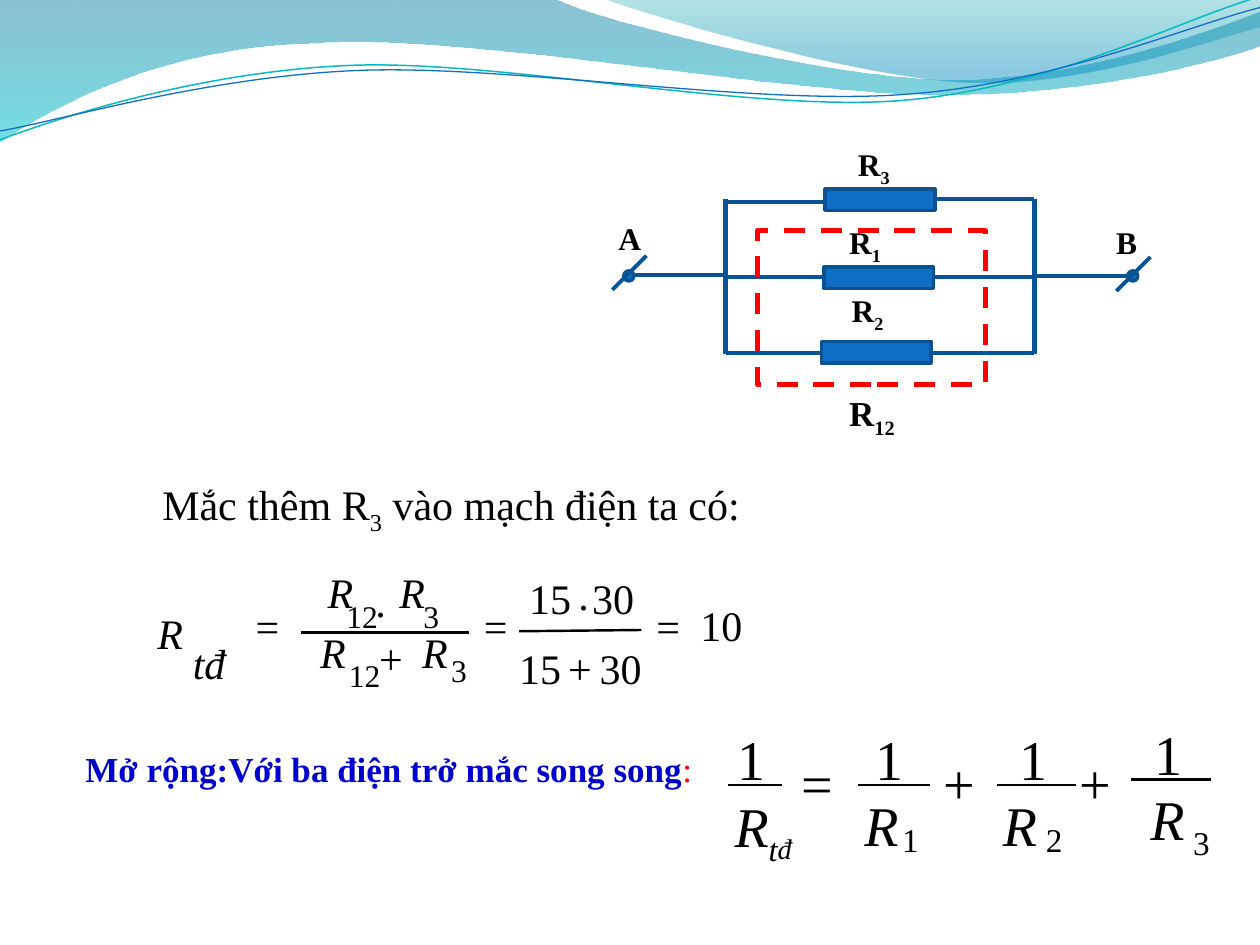
from dataclasses import dataclass

from lxml import etree
from pptx import Presentation
from pptx import util as u
from pptx.dml.color import RGBColor
from pptx.enum import dml, shapes, text
from pptx.oxml import ns


@dataclass(frozen=True)
class Theme:
    font: str = "Times New Roman"
    ink: str = "000000"
    wire: str = "095295"
    edge: str = "0B5292"
    body: str = "0F6FC6"
    teal: str = "0AB8BF"
    blue: str = "0000CC"
    red: str = "FF0000"
    formula: int = 24
    formula_sub: int = 18
    rule: int = 32
    rule_sub: int = 19
    label: int = 18
    note: int = 20


@dataclass(frozen=True)
class Box:
    left: float
    top: float
    width: float
    height: float

    def at(self, x, y):
        return u.Inches(self.left + x), u.Inches(self.top + y)


THEME = Theme()
EM = {"R": 0.61, "+": 0.56, "=": 0.56, ".": 0.25}


def rgb(value):
    return RGBColor.from_string(value)


def add_text(page, box, x, y, w, h, spans, size, wrap=True, inset=True, **common):
    """Spans are (words, format) pairs; the key sub lowers a span."""
    frame = page.shapes.add_textbox(*box.at(x, y), u.Inches(w), u.Inches(h)).text_frame
    frame.word_wrap = wrap
    frame.auto_size = text.MSO_AUTO_SIZE.SHAPE_TO_FIT_TEXT
    if not inset:
        for side in ("left", "top", "right", "bottom"):
            setattr(frame, f"margin_{side}", 0)
    para = frame.paragraphs[0]
    for words, extra in spans:
        span = para.add_run()
        span.text = words
        style = {"size": size, "name": THEME.font, "color": THEME.ink, **common, **extra}
        if style.pop("sub", False):
            span._r.get_or_add_rPr().set("baseline", "-25000")
        span.font.color.rgb = rgb(style.pop("color"))
        style["size"] = u.Pt(style["size"])
        for name, value in style.items():
            setattr(span.font, name, value)


def add_symbol(page, box, words, x, y, size, slack=1.0):
    width = sum(EM.get(sign, 0.5) for sign in words) * size / 72 * slack
    add_text(page, box, x, y, width, size / 60, [(words, {})], size,
             wrap=False, inset=False, italic=words in ("R", "tđ"))


def add_line(page, box, start, end, color, weight):
    line = page.shapes.add_connector(shapes.MSO_CONNECTOR.STRAIGHT,
                                     *box.at(*start), *box.at(*end))
    line.line.color.rgb = rgb(color)
    line.line.width = u.Pt(weight)
    etree.SubElement(line._element.spPr, ns.qn("a:effectLst"))


def add_part(page, box, kind, x, y, w, h, fill, edge, weight):
    part = page.shapes.add_shape(kind, *box.at(x, y), u.Inches(w), u.Inches(h))
    part.shadow.inherit = False
    if fill:
        part.fill.solid()
        part.fill.fore_color.rgb = rgb(fill)
    else:
        part.fill.background()
    part.line.color.rgb = rgb(edge)
    part.line.width = u.Pt(weight)
    return part


def add_outline(page, box, start, segments, close):
    """Segments are lines (two numbers) or cubic curves (six numbers)."""
    knots = [box.at(*segment[i:i + 2]) for segment in segments
             for i in range(0, len(segment), 2)]
    builder = page.shapes.build_freeform(*box.at(*start), scale=1.0)
    builder.add_line_segments(knots, close=close)
    outline = builder.convert_to_shape()
    outline.shadow.inherit = False
    steps = iter(list(outline._element.spPr.iter(ns.qn("a:lnTo"))))
    for segment in segments:
        parts = [next(steps) for _ in range(len(segment) // 2)]
        if len(parts) == 3:
            curve = etree.Element(ns.qn("a:cubicBezTo"))
            parts[0].addprevious(curve)
            for part in parts:
                curve.append(part[0])
                part.getparent().remove(part)
    return outline


def fade(shape, stops):
    """Top-to-bottom gradient from (position, colour, opacity) stops."""
    shape.fill.gradient()
    grad = shape._element.spPr.find(ns.qn("a:gradFill"))
    for child in list(grad):
        grad.remove(child)
    stop_list = etree.SubElement(grad, ns.qn("a:gsLst"))
    for position, color, opacity in stops:
        stop = etree.SubElement(stop_list, ns.qn("a:gs"), pos=str(position * 1000))
        tint = etree.SubElement(stop, ns.qn("a:srgbClr"), val=color)
        etree.SubElement(tint, ns.qn("a:alpha"), val=str(opacity * 1000))
    etree.SubElement(grad, ns.qn("a:lin"), ang="5400000", scaled="0")


def draw_waves(page, box):
    bands = [
        ((0, 0), [(4.4, -0.01), (4.76, 0.17, 6.64, 0.63, 7.58, 0.63),
                  (8.53, 0.63, 9.58, 0.26, 10, 0.09), (10.01, 0.36),
                  (9.83, 0.44, 8.7, 0.76, 7.46, 0.75), (6.22, 0.75, 3.82, 0.28, 2.57, 0.34),
                  (1.29, 0.36, 0.46, 0.83, -0.01, 1.13), (0, 0)],
         [(0, "0074A1", 45), (100, "00C6CF", 55)]),
        ((4.79, -0.01), [(5.09, 0.11, 6.82, 0.62, 7.69, 0.65),
                         (8.56, 0.69, 9.61, 0.32, 10, 0.21), (10, 0), (4.79, -0.01)],
         [(0, "00A1A9", 30), (80, "008BBF", 45)]),
    ]
    for start, segments, stops in bands:
        band = add_outline(page, box, start, segments, True)
        fade(band, stops)
        band.line.fill.background()
    curves = [
        ((0, 1.11), [(0.48, 0.93, 1.58, 0.57, 2.77, 0.52), (3.95, 0.47, 5.93, 0.89, 7.13, 0.8),
                     (8.33, 0.71, 9.38, 0.15, 9.98, -0.02)], THEME.teal, 0.85),
        ((0, 1.04), [(0.47, 0.96, 1.64, 0.61, 2.83, 0.56), (4.03, 0.51, 5.97, 0.84, 7.17, 0.75),
                     (8.36, 0.67, 9.41, 0.21, 10, 0.06)], THEME.body, 0.75),
    ]
    for start, segments, color, weight in curves:
        curve = add_outline(page, box, start, segments, False)
        curve.fill.background()
        curve.line.color.rgb = rgb(color)
        curve.line.width = u.Pt(weight)


def draw_circuit(page, box):
    posts = (0.96, 3.41)
    kinds = shapes.MSO_SHAPE

    def wire(start, end, weight=2.25):
        add_line(page, box, start, end, THEME.wire, weight)

    def label(name, x, y, index="", width=0.55, size=THEME.label):
        spans = [(name, {})] + ([(index, {"sub": True})] if index else [])
        add_text(page, box, x, y, width, size / 45, spans, size, bold=True)

    for post in posts:
        for top in (0.48, 1.09):
            wire((post, top), (post, top + 0.62), 3)
    branches = [("3", 1.75, 0.4, 0.5, 0.48, 1.91, 0), ("1", 1.74, 1.02, 1.1, 1.1, 1.84, 0.62),
                ("2", 1.72, 1.61, 1.7, 1.7, 1.86, 1.16)]
    for index, x, y, left_y, right_y, label_x, label_y in branches:
        wire((posts[0], left_y), (x, left_y))
        wire((x + 0.87, right_y), (posts[1], right_y))
        add_part(page, box, kinds.RECTANGLE, x, y, 0.87, 0.17, THEME.body, THEME.edge, 2)
        label("R", label_x, label_y, index)
    terminals = [("A", 0.19, posts[0], 1.08, 0.01, 0.59), ("B", 4.19, posts[1], 1.09, 3.96, 0.62)]
    for name, x, post, y, label_x, label_y in terminals:
        wire((x, y), (post, y))
        add_part(page, box, kinds.OVAL, x - 0.04, 1.05, 0.08, 0.08, THEME.body, THEME.edge, 2)
        wire((x + 0.14, y - 0.15), (x - 0.13, y + 0.12))
        label(name, label_x, label_y)
    frame = add_part(page, box, kinds.RECTANGLE, 1.21, 0.73, 1.81, 1.22, None, THEME.red, 3)
    frame.line.dash_style = dml.MSO_LINE.DASH
    label("R", 1.84, 1.96, "12", 0.75, THEME.note)


def draw_intro(page, box):
    add_text(page, box, 0, 0, box.width, box.height,
             [("Mắc thêm R", {}), ("3", {"sub": True}), (" vào mạch điện ta có:", {})],
             THEME.formula)


def draw_formula(page, box):
    """Equivalent resistance worked out from R12 and R3."""
    for start, end in (((1.14, 0.52), (2.47, 0.52)), ((2.87, 0.51), (3.84, 0.5))):
        add_line(page, box, start, end, THEME.ink, 1.38)
    symbols = [("R", 0, 0.32), ("tđ", 0.28, 0.56), ("=", 0.78, 0.27),
               ("R", 1.35, 0), (".", 1.73, 0.07), ("R", 1.92, 0),
               ("R", 1.29, 0.47), ("+", 1.76, 0.52), ("R", 2.1, 0.47), ("=", 2.59, 0.27),
               ("15", 2.95, 0.04), (".", 3.34, 0.01), ("30", 3.45, 0.04),
               ("15", 2.87, 0.6), ("+", 3.26, 0.6), ("30", 3.51, 0.6),
               ("=", 3.96, 0.27), ("10", 4.31, 0.26)]
    indices = [("12", 1.5, 0.24), ("3", 2.11, 0.24), ("12", 1.52, 0.71), ("3", 2.33, 0.67)]
    for size, group in ((THEME.formula, symbols), (THEME.formula_sub, indices)):
        for words, x, y in group:
            add_symbol(page, box, words, x, y, size)


def draw_extension(page, box):
    """General rule for three resistors in parallel."""
    add_text(page, box, 0, 0.17, 5.1, 0.75,
             [("Mở rộng:Với ba điện trở mắc song song", {"color": THEME.blue, "bold": True}),
              (":", {"color": THEME.red})], THEME.note)
    slack = 1.24
    fractions = [("", 5.27, 0.04, 5.2, 5.63, 5.25, 0, 0),
                 ("1", 6.37, 0.04, 6.23, 6.8, 6.28, 6.58, 0.79),
                 ("2", 7.51, 0.04, 7.33, 7.96, 7.38, 7.72, 0.79),
                 ("3", 8.58, 0, 8.4, 9.03, 8.55, 8.89, 0.82)]
    for index, one_x, y, bar_left, bar_right, r_x, index_x, index_y in fractions:
        add_symbol(page, box, "1", one_x, y, THEME.rule, slack)
        add_line(page, box, (bar_left, y + 0.48), (bar_right, y + 0.48), THEME.ink, 1.63)
        if index:
            add_symbol(page, box, "R", r_x, y + 0.52, THEME.rule, slack)
            add_symbol(page, box, index, index_x, index_y, THEME.rule_sub, slack)
        else:
            add_text(page, box, r_x, y + 0.53, 0.6, 0.52,
                     [("R", {}), ("t", {"sub": True}), ("đ", {"sub": True, "size": 28})],
                     THEME.rule, wrap=False, inset=False, italic=True)
    for sign, x in (("=", 5.78), ("+", 6.91), ("+", 7.99)):
        add_symbol(page, box, sign, x, 0.23, THEME.rule, slack)


def main():
    deck = Presentation()
    deck.slide_width, deck.slide_height = u.Inches(10), u.Inches(7.5)
    page = deck.slides.add_slide(deck.slide_layouts[6])
    draw_waves(page, Box(0, 0, 10, 1.13))
    draw_formula(page, Box(1.25, 4.5, 4.65, 1.01))
    draw_intro(page, Box(1.19, 3.75, 4.97, 0.5))
    draw_extension(page, Box(0.58, 5.71, 9.09, 1.13))
    draw_circuit(page, Box(4.8, 1.1, 4.51, 2.4))
    deck.save("out.pptx")


if __name__ == "__main__":
    main()
